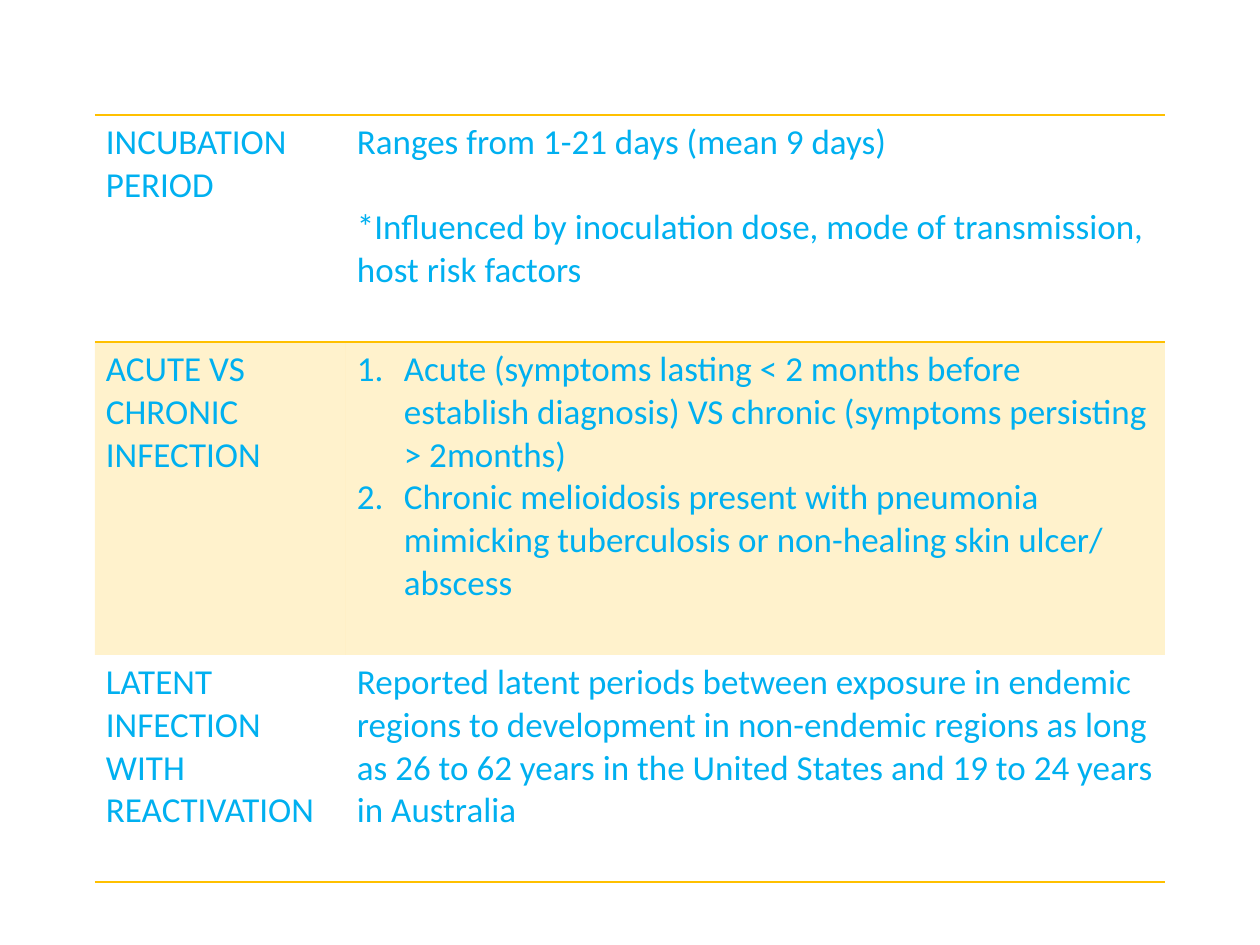
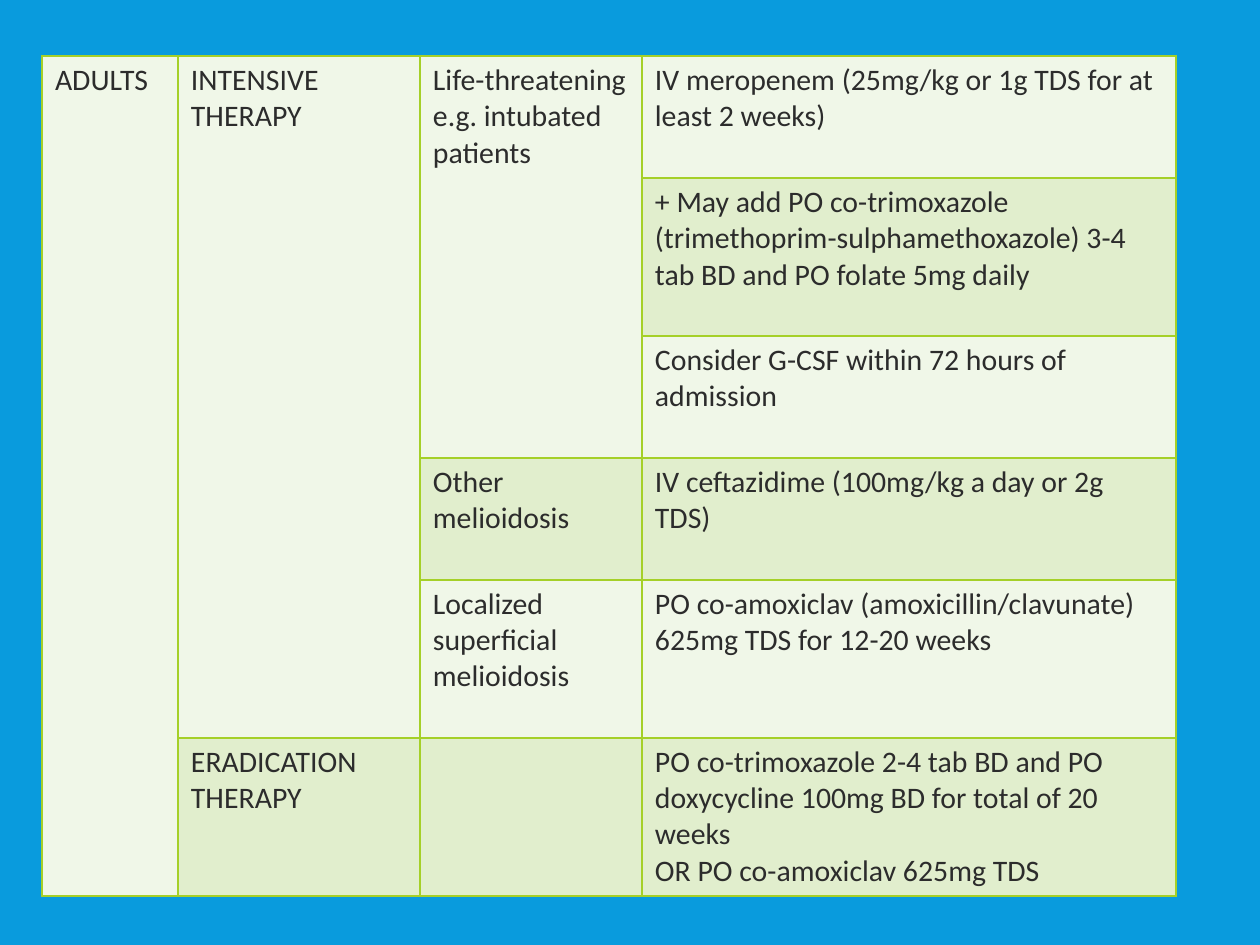
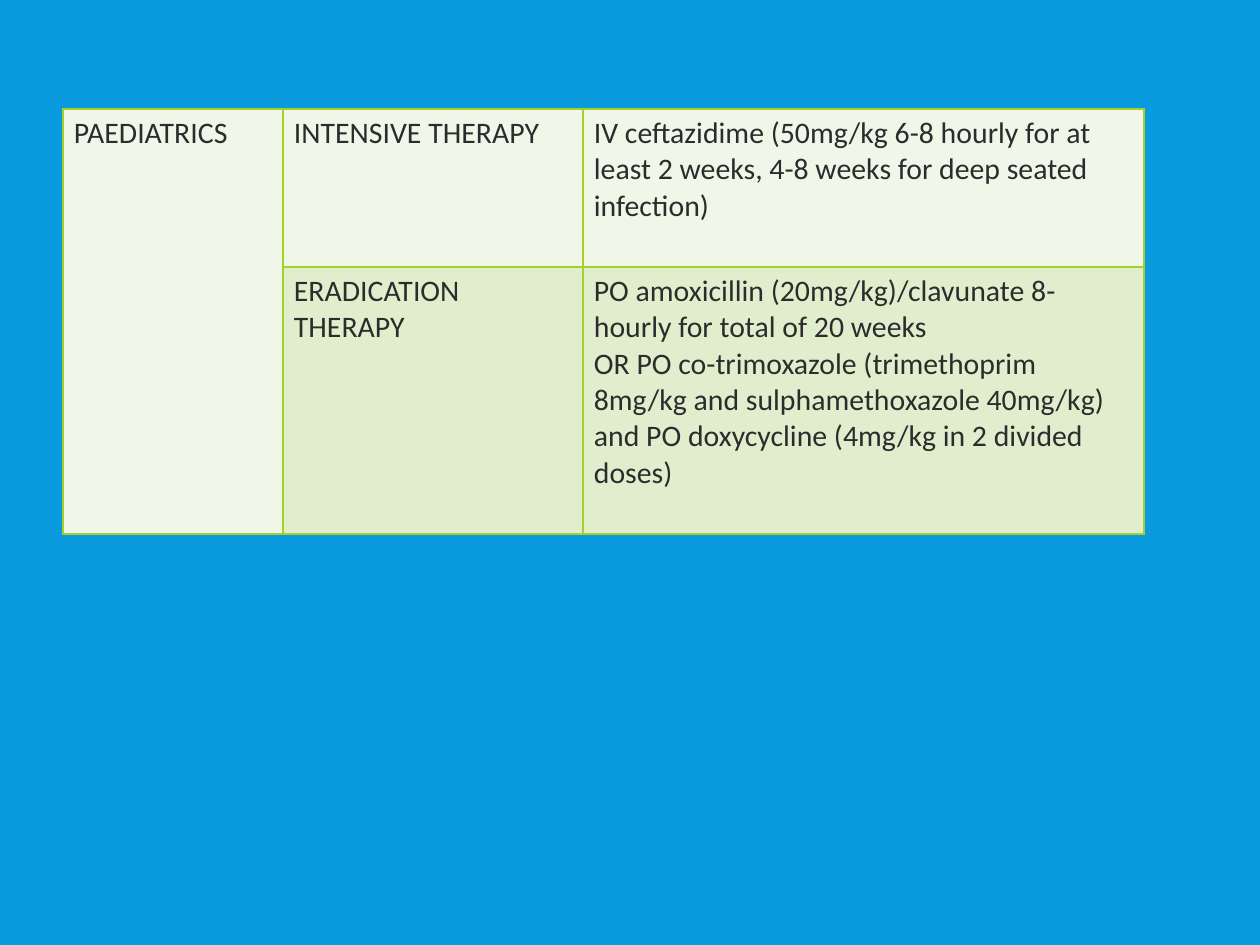
from itertools import cycle

from lxml import etree
from pptx import Presentation
from pptx.dml.color import RGBColor
from pptx.enum.text import MSO_ANCHOR
from pptx.oxml.ns import qn
from pptx.util import Pt

TOP = MSO_ANCHOR.TOP
EMU_PER_PX = 914400 / 126
BLANK_LAYOUT = 6
PLAIN_TABLE = "{2D5ABB26-0587-4C30-8999-92F81FD0307C}"

BLUE = "099BDD"
SKY = "00B0F0"
AMBER = "FFC000"
LIME = "A5D028"
INK = "2C2C2C"
PALE = "F0F7E8"
LEAF = "E1EECD"

DISEASE_LOOK = {
    "font": {"name": "Calibri", "size": Pt(20)},
    "ink": SKY,
    "bands": (None, AMBER),
    "opacity": 20,
    "line": AMBER,
    "edges": ("TB", "", "B"),
    "inset": 11,
    "gap": Pt(24),
}
THERAPY_LOOK = {
    "font": {"name": "Calibri", "size": Pt(17)},
    "ink": INK,
    "bands": (PALE, LEAF),
    "opacity": 100,
    "line": LIME,
    "edges": ("LRTB",),
    "inset": 13,
    "gap": Pt(0),
}
CHILD_LOOK = {**THERAPY_LOOK, "inset": 11}

DISEASE_COURSE = [
    ["INCUBATION PERIOD",
     "Ranges from 1-21 days (mean 9 days)\n"
     "*Influenced by inoculation dose, mode of transmission, host risk factors"],
    ["ACUTE VS CHRONIC INFECTION",
     ["Acute (symptoms lasting < 2 months before establish diagnosis) VS chronic "
      "(symptoms persisting > 2months)",
      "Chronic melioidosis present with pneumonia mimicking tuberculosis or "
      "non-healing skin ulcer/ abscess"]],
    ["LATENT INFECTION WITH REACTIVATION",
     "Reported latent periods between exposure in endemic regions to development in "
     "non-endemic regions as long as 26 to 62 years in the United States and 19 to 24 "
     "years in Australia"],
]
ADULT_THERAPY = [
    ["ADULTS", "INTENSIVE THERAPY", "Life-threatening e.g. intubated patients",
     "IV meropenem (25mg/kg or 1g TDS for at least 2 weeks)"],
    [None, None, None,
     "+ May add PO co-trimoxazole (trimethoprim-sulphamethoxazole) 3-4 tab BD and "
     "PO folate 5mg daily"],
    [None, None, None, "Consider G-CSF within 72 hours of admission"],
    [None, None, "Other melioidosis", "IV ceftazidime (100mg/kg a day or 2g TDS)"],
    [None, None, "Localized superficial melioidosis",
     "PO co-amoxiclav (amoxicillin/clavunate) 625mg TDS for 12-20 weeks"],
    [None, "ERADICATION THERAPY", "",
     "PO co-trimoxazole 2-4 tab BD and PO doxycycline 100mg BD for total of 20 weeks\n"
     "OR PO co-amoxiclav 625mg TDS"],
]
CHILD_THERAPY = [
    ["PAEDIATRICS", "INTENSIVE THERAPY",
     "IV ceftazidime (50mg/kg 6-8 hourly for at least 2 weeks, 4-8 weeks for deep "
     "seated infection)"],
    [None, "ERADICATION THERAPY",
     "PO amoxicillin (20mg/kg)/clavunate 8-hourly for total of 20 weeks\n"
     "OR PO co-trimoxazole (trimethoprim 8mg/kg and sulphamethoxazole 40mg/kg) and "
     "PO doxycycline (4mg/kg in 2 divided doses)"],
]


def px(length):
    return round(length * EMU_PER_PX)


def rgb(color):
    return RGBColor.from_string(color)


def apply(target, values):
    for name, value in values.items():
        setattr(target, name, value)


class Deck:
    def __init__(self, width, height):
        self.show = Presentation()
        apply(self.show, {"slide_width": px(width), "slide_height": px(height)})
        self.slide = None
        self.look = None

    def new_slide(self, look, background=None):
        self.look = look
        self.slide = self.show.slides.add_slide(self.show.slide_layouts[BLANK_LAYOUT])
        if background:
            fill = self.slide.background.fill
            fill.solid()
            fill.fore_color.rgb = rgb(background)

    def table(self, left, top, widths, heights, content):
        frame = self.slide.shapes.add_table(
            len(heights), len(widths), px(left), px(top), px(sum(widths)), px(sum(heights)))
        table = frame.table
        apply(table, {"first_row": False, "horz_banding": False})
        table._tbl.tblPr.find(qn("a:tableStyleId")).text = PLAIN_TABLE
        for column, width in zip(table.columns, widths):
            column.width = px(width)
        bands = cycle(self.look["bands"])
        edges = cycle(self.look["edges"])
        for row, height, texts, band, sides in zip(table.rows, heights, content, bands, edges):
            row.height = px(height)
            for cell, text in zip(row.cells, texts):
                self.borders(cell, sides)
                self.fill(cell, band)
                if text is not None:
                    self.text(cell, text)
        self.merge_down(table, content)

    def merge_down(self, table, content):
        for column, texts in enumerate(zip(*content)):
            starts = [row for row, text in enumerate(texts) if text is not None]
            for start, following in zip(starts, starts[1:] + [len(texts)]):
                if following - start > 1:
                    table.cell(start, column).merge(table.cell(following - 1, column))

    def borders(self, cell, sides):
        properties = cell._tc.get_or_add_tcPr()
        for side in sides:
            line = etree.SubElement(properties, qn(f"a:ln{side}"), w=str(Pt(1)))
            solid = etree.SubElement(line, qn("a:solidFill"))
            etree.SubElement(solid, qn("a:srgbClr"), val=self.look["line"])

    def fill(self, cell, color):
        if color is None:
            cell.fill.background()
            return
        cell.fill.solid()
        cell.fill.fore_color.rgb = rgb(color)
        if self.look["opacity"] < 100:
            shade = cell._tc.tcPr.find(".//" + qn("a:solidFill") + "[last()]/" + qn("a:srgbClr"))
            for shade in cell._tc.tcPr.findall(qn("a:solidFill") + "/" + qn("a:srgbClr")):
                etree.SubElement(shade, qn("a:alpha"), val=str(self.look["opacity"] * 1000))

    def text(self, cell, text):
        inset = px(self.look["inset"])
        apply(cell, {"margin_left": inset, "margin_right": inset, "margin_top": px(6),
                     "margin_bottom": px(6), "vertical_anchor": TOP})
        numbered = isinstance(text, list)
        cell.text = "\n".join(text) if numbered else text
        for position, paragraph in enumerate(cell.text_frame.paragraphs):
            apply(paragraph.font, self.look["font"])
            for run in paragraph.runs:
                apply(run.font, self.look["font"])
                run.font.color.rgb = rgb(self.look["ink"])
            if numbered:
                self.number(paragraph)
            elif position:
                paragraph.space_before = self.look["gap"]

    def number(self, paragraph):
        properties = paragraph._p.get_or_add_pPr()
        properties.set("marL", str(px(47)))
        properties.set("indent", str(px(-47)))
        bullet = etree.Element(qn("a:buAutoNum"), type="arabicPeriod")
        properties.insert(0, bullet)


def main():
    deck = Deck(1260, 945)
    deck.new_slide(DISEASE_LOOK)
    deck.table(95, 115, [251, 819], [227, 313, 227], DISEASE_COURSE)
    deck.new_slide(THERAPY_LOOK, BLUE)
    deck.table(42, 56, [136, 242, 222, 534], [122, 158, 122, 122, 158, 158], ADULT_THERAPY)
    deck.new_slide(CHILD_LOOK, BLUE)
    deck.table(63, 109, [220, 300, 561], [158, 267], CHILD_THERAPY)
    deck.show.save("out.pptx")


if __name__ == "__main__":
    main()
